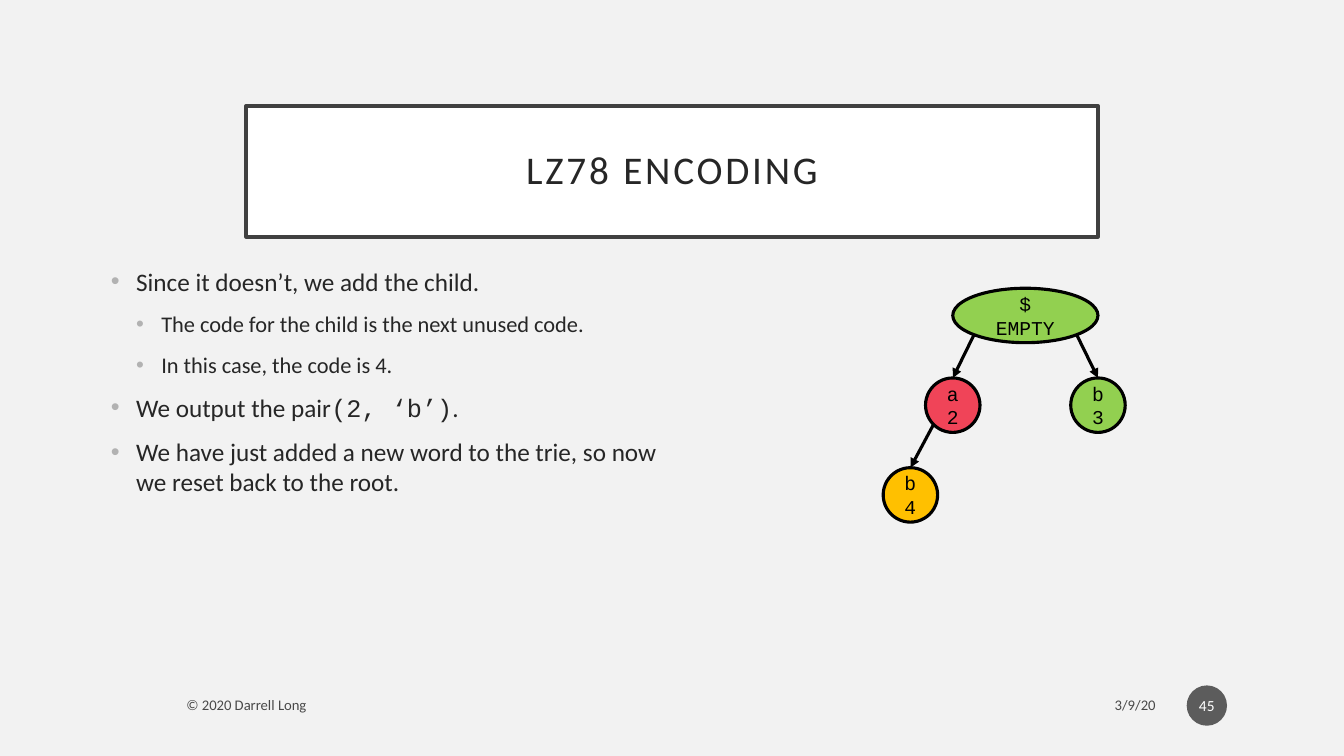
from math import sqrt

from lxml import etree
from pptx import Presentation
from pptx.dml.color import RGBColor
from pptx.enum.shapes import MSO_CONNECTOR, MSO_SHAPE
from pptx.enum.text import MSO_ANCHOR, MSO_AUTO_SIZE, PP_ALIGN
from pptx.oxml.ns import qn
from pptx.util import Pt

PX = 9144  # 100 px to the inch
SANS, MONO = "Calibri", "Courier New"
BLACK = RGBColor(0x00, 0x00, 0x00)
WHITE = RGBColor(0xFF, 0xFF, 0xFF)
PAPER = RGBColor(0xF2, 0xF2, 0xF2)
INK = RGBColor(0x26, 0x26, 0x26)
FRAME = RGBColor(0x40, 0x40, 0x40)
BADGE = RGBColor(0x1D, 0x1D, 0x1D)
GREEN = RGBColor(0x92, 0xD0, 0x50)
RED = RGBColor(0xF0, 0x44, 0x58)
AMBER = RGBColor(0xFF, 0xC0, 0x00)
OVAL = MSO_SHAPE.OVAL
STRAIGHT = MSO_CONNECTOR.STRAIGHT
MIDDLE = MSO_ANCHOR.MIDDLE
LEFT, CENTER, RIGHT = PP_ALIGN.LEFT, PP_ALIGN.CENTER, PP_ALIGN.RIGHT


def write_lines(shape, lines, font, size, color, align):
    frame = shape.text_frame
    frame.word_wrap = True
    frame.vertical_anchor = MIDDLE
    frame.text = "\n".join(lines)
    for paragraph in frame.paragraphs:
        paragraph.alignment = align
        paragraph.font.name = font
        paragraph.font.size = Pt(size)
        paragraph.font.color.rgb = color


def make_translucent(element):
    for color in element.iter(qn("a:srgbClr")):
        etree.SubElement(color, qn("a:alpha"), val="70000")


prs = Presentation()
prs.slide_width, prs.slide_height = 1333 * PX, 750 * PX
slide = prs.slides.add_slide(prs.slide_layouts[1])
shapes = slide.shapes
slide.background.fill.solid()
slide.background.fill.fore_color.rgb = PAPER

# Title
title = shapes.title
title.left, title.top, title.width, title.height = (v * PX for v in (244, 105, 845, 130))
title.fill.solid()
title.fill.fore_color.rgb = WHITE
title.line.color.rgb = FRAME
title.line.width = Pt(2.5)
write_lines(title, ["LZ78 ENCODING"], SANS, 28, INK, CENTER)
title.text_frame.auto_size = MSO_AUTO_SIZE.NONE
heading = title.text_frame.paragraphs[0]
heading.line_spacing = 0.9
heading.font._element.set("spc", "200")

# Bullet list: level and (text, font) runs
steps = [
    (0, [("Since it doesn’t, we add the child.", SANS)]),
    (1, [("The code for the child is the next unused code.", SANS)]),
    (1, [("In this case, the code is 4.", SANS)]),
    (0, [("We output the pair", SANS), ("(2, ‘b’)", MONO), (".", SANS)]),
    (0, [("We have just added a new word to the trie, so now we reset back to the root.", SANS)]),
]
body = slide.placeholders[1]
body.left, body.top, body.width, body.height = (v * PX for v in (100, 259, 567, 374))
body.text_frame.auto_size = MSO_AUTO_SIZE.NONE
for i, (level, runs) in enumerate(steps):
    step = body.text_frame.paragraphs[0] if i == 0 else body.text_frame.add_paragraph()
    step.level = level
    step.space_before = Pt(10 if i else 0)
    props = step._p.get_or_add_pPr()
    props.set("marL", str(25 * (level + 1) * PX))
    props.set("indent", str(-25 * PX))
    bullet_color = etree.SubElement(props, qn("a:buClr"))
    etree.SubElement(bullet_color, qn("a:srgbClr"), val="B2B2B2")
    etree.SubElement(props, qn("a:buFont"), typeface="Arial")
    etree.SubElement(props, qn("a:buChar"), char="•")
    step.font.name = SANS
    step.font.size = Pt(18 - 2 * level)
    step.font.color.rgb = INK
    for text, font in runs:
        run = step.add_run()
        run.text = text
        if font != SANS:
            run.font.name = font

# Footer: date, copyright and page badge
for text, left, width, align in [
    ("3/9/20", 855, 301, RIGHT),
    ("© 2020 Darrell Long", 175, 645, LEFT),
]:
    footer = shapes.add_textbox(left * PX, 682 * PX, width * PX, 35 * PX)
    write_lines(footer, [text], SANS, 10.5, BLACK, align)
    make_translucent(footer.text_frame._txBody)

badge = shapes.add_shape(OVAL, 1177 * PX, 680 * PX, 40 * PX, 40 * PX)
badge.shadow.inherit = False
badge.fill.solid()
badge.fill.fore_color.rgb = BADGE
make_translucent(badge._element.spPr)
badge.line.fill.background()
badge.text_frame.margin_left = badge.text_frame.margin_right = 2 * PX
write_lines(badge, ["45"], SANS, 11, WHITE, CENTER)

# Trie nodes: lines, centre x, top, width, fill
NODE = 54
trie = {
    "root": (["$", "EMPTY"], 1017, 286, 144, GREEN),
    "a": (["a", "2"], 945, 375, NODE, RED),
    "b": (["b", "3"], 1089, 375, NODE, GREEN),
    "ab": (["b", "4"], 903, 464, NODE, AMBER),
}
nodes = {}
for name, (lines, center, top, width, color) in trie.items():
    node = shapes.add_shape(OVAL, (center - width // 2) * PX, top * PX, width * PX, NODE * PX)
    node.shadow.inherit = False
    node.fill.solid()
    node.fill.fore_color.rgb = color
    node.line.color.rgb = BLACK
    node.line.width = Pt(2.25)
    write_lines(node, lines, MONO, 14, BLACK, CENTER)
    nodes[name] = node

# Trie edges: from the parent's lower diagonal (side -1 left, 1 right) to the child's top
for parent_name, child_name, side in [("root", "a", -1), ("root", "b", 1), ("a", "ab", -1)]:
    parent, child = nodes[parent_name], nodes[child_name]
    start_x = parent.left + round(parent.width / 2 * (1 + side / sqrt(2)))
    start_y = parent.top + round(parent.height / 2 * (1 + 1 / sqrt(2)))
    edge = shapes.add_connector(STRAIGHT, start_x, start_y, child.left + child.width // 2, child.top)
    edge.end_connect(child, 0)
    edge.line.color.rgb = BLACK
    edge.line.width = Pt(2.25)
    etree.SubElement(edge.line._get_or_add_ln(), qn("a:tailEnd"), type="triangle")
    etree.SubElement(edge._element.spPr, qn("a:effectLst"))

prs.save("out.pptx")
